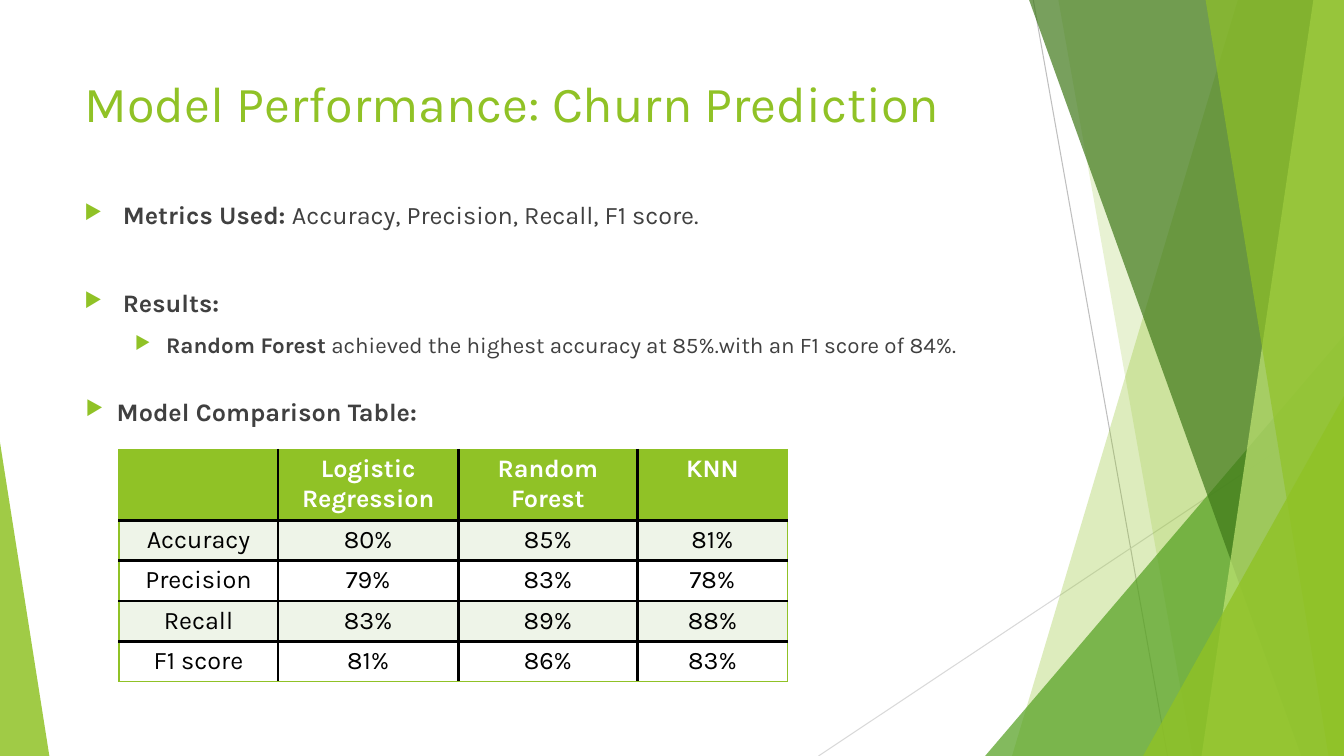
from dataclasses import dataclass

from lxml.etree import SubElement
from pptx import Presentation
from pptx.dml.color import RGBColor
from pptx.enum.shapes import MSO_CONNECTOR as Connector, MSO_SHAPE as Preset
from pptx.enum.text import MSO_ANCHOR as Anchor, PP_ALIGN as Align
from pptx.oxml.ns import qn
from pptx.util import Inches, Pt


@dataclass(frozen=True)
class Theme:
    font: str = "Karla"
    accent: str = "90C226"
    leaf: str = "54A021"
    forest: str = "3F7819"
    lime: str = "C0E474"
    text: str = "404040"
    black: str = "000000"
    white: str = "FFFFFF"
    band: str = "EEF4E8"
    dark_hairline: str = "BFBFBF"
    light_hairline: str = "D9D9D9"
    title_size: float = 36
    body_size: float = 18
    detail_size: float = 16
    hairline: float = 0.75
    inner_border: float = 2.25
    outer_border: float = 1


@dataclass(frozen=True)
class Box:
    left: float
    top: float
    width: float
    height: float

    def x(self, columns):
        return round(self.left + self.width * columns / 100)

    def y(self, rows):
        return round(self.top + self.height * rows / 100)

    def area(self, column, row, columns, rows):
        return Box(self.x(column), self.y(row),
                   round(self.width * columns / 100), round(self.height * rows / 100))

    def frame(self):
        return self.left, self.top, self.width, self.height


THEME = Theme()
HAIRLINES = [
    (76.88, 0, 86.87, 100, THEME.dark_hairline),
    (100, 53.73, 60.9, 100, THEME.light_hairline),
]
BACK_RIBBONS = [(92.1, 75.3, THEME.accent, 30), (78.75, 88.73, THEME.accent, 20)]
FRONT_RIBBONS = [
    (76.57, 96.82, THEME.forest, 70),
    (97.72, 89.4, THEME.lime, 70),
    (89.7, 98.85, THEME.accent, 65),
]
BULLETS = [
    (0, 0.38, 0.38, THEME.body_size,
     [("Metrics Used: ", True), ("Accuracy, Precision, Recall, F1 score.", False)]),
    (41, 0.38, 0.38, THEME.body_size, [("Results:", True)]),
    (10, 0.81, 0.31, THEME.detail_size,
     [("Random Forest", True),
      (" achieved the highest accuracy at 85%.with an F1 score of 84%.", False)]),
    (27, 0.32, 0.31, THEME.body_size, [("Model Comparison Table:", True)]),
]
SCORES = [
    ["", "Logistic Regression", "Random Forest", "KNN"],
    ["Accuracy", "80%", "85%", "81%"],
    ["Precision", "79%", "83%", "78%"],
    ["Recall", "83%", "89%", "88%"],
    ["F1 score", "81%", "86%", "83%"],
]
COLUMN_SHARES = [23.8, 26.96, 26.8, 22.44]
ROW_SHARES = [30.44] + [17.39] * 4


def rgb(color):
    return RGBColor.from_string(color)


def add_span(para, text, size, color, bold=False):
    span = para.add_run()
    span.text = text
    span.font.name = THEME.font
    span.font.size = Pt(size)
    span.font.color.rgb = rgb(color)
    span.font.bold = bold


def paint(shape, color, opacity):
    shape.shadow.inherit = False
    shape.line.fill.background()
    shape.fill.solid()
    shape.fill.fore_color.rgb = rgb(color)
    swatch = next(shape._element.spPr.iter(qn("a:srgbClr")))
    SubElement(swatch, qn("a:alpha")).set("val", str(opacity * 1000))


def add_hairline(page, box, x1, y1, x2, y2, color):
    line = page.shapes.add_connector(
        Connector.STRAIGHT, box.x(x1), box.y(y1), box.x(x2), box.y(y2))
    line.line.color.rgb = rgb(color)
    line.line.width = Pt(THEME.hairline)
    SubElement(line._element.spPr, qn("a:effectLst"))


def add_ribbon(page, box, top_column, bottom_column, color, opacity):
    outline = page.shapes.build_freeform(box.x(top_column), box.y(0))
    outline.add_line_segments([
        (box.x(100), box.y(0)), (box.x(100), box.y(100)),
        (box.x(bottom_column), box.y(100))])
    paint(outline.convert_to_shape(), color, opacity)


def add_corner(page, box, apex, color, opacity):
    corner = page.shapes.add_shape(Preset.ISOSCELES_TRIANGLE, *box.frame())
    corner.adjustments[0] = apex
    paint(corner, color, opacity)


def add_facets(page, box):
    for hairline in HAIRLINES:
        add_hairline(page, box, *hairline)
    for ribbon in BACK_RIBBONS:
        add_ribbon(page, box, *ribbon)
    add_corner(page, box.area(73.3, 44.4, 26.7, 55.6), 1, THEME.leaf, 72)
    for ribbon in FRONT_RIBBONS:
        add_ribbon(page, box, *ribbon)
    add_corner(page, box.area(85.05, 52.4, 14.95, 47.6), 1, THEME.accent, 80)
    add_corner(page, box.area(0, 58.53, 3.67, 41.47), 0, THEME.accent, 85)


def add_text_frame(page, box):
    frame = page.shapes.add_textbox(*box.frame()).text_frame
    frame.word_wrap = True
    frame.vertical_anchor = Anchor.TOP
    return frame


def add_title(page, box):
    para = add_text_frame(page, box).paragraphs[0]
    add_span(para, "Model Performance: Churn Prediction", THEME.title_size, THEME.accent)


def add_bullet(para, margin, hang):
    props = para._p.get_or_add_pPr()
    props.set("marL", str(Inches(margin)))
    props.set("indent", str(-Inches(hang)))
    SubElement(SubElement(props, qn("a:buClr")), qn("a:srgbClr")).set("val", THEME.accent)
    SubElement(props, qn("a:buSzPct")).set("val", "80000")
    SubElement(props, qn("a:buChar")).set("char", "▶")


def add_body(page, box):
    frame = add_text_frame(page, box)
    for index, (gap, margin, hang, size, spans) in enumerate(BULLETS):
        para = frame.add_paragraph() if index else frame.paragraphs[0]
        add_bullet(para, margin, hang)
        para.space_before = Pt(gap)
        for text, bold in spans:
            add_span(para, text, size, THEME.text, bold)


def add_borders(cell, outer_sides):
    props = cell._tc.get_or_add_tcPr()
    for side in "LRTB":
        outer = side in outer_sides
        width = THEME.outer_border if outer else THEME.inner_border
        line = SubElement(props, qn(f"a:ln{side}"), w=str(Pt(width)))
        fill = SubElement(line, qn("a:solidFill"))
        color = THEME.accent if outer else THEME.black
        SubElement(fill, qn("a:srgbClr")).set("val", color)


def add_scores(page, box):
    last_row, last_column = len(SCORES) - 1, len(SCORES[0]) - 1
    table = page.shapes.add_table(last_row + 1, last_column + 1, *box.frame()).table
    table.horz_banding = False
    for column, share in zip(table.columns, COLUMN_SHARES):
        column.width = round(box.width * share / 100)
    for row, share in zip(table.rows, ROW_SHARES):
        row.height = round(box.height * share / 100)
    for r, labels in enumerate(SCORES):
        header = r == 0
        fill = THEME.accent if header else THEME.band if r % 2 else THEME.white
        for c, label in enumerate(labels):
            cell = table.cell(r, c)
            edges = {"L": c == 0, "R": c == last_column, "T": header, "B": r == last_row}
            add_borders(cell, [side for side, outer in edges.items() if outer])
            cell.fill.solid()
            cell.fill.fore_color.rgb = rgb(fill)
            para = cell.text_frame.paragraphs[0]
            para.alignment = Align.CENTER
            if label:
                color = THEME.white if header else THEME.black
                add_span(para, label, THEME.body_size, color, header)


def add_performance_page(deck, box):
    page = deck.slides.add_slide(deck.slide_layouts[6])
    add_facets(page, box)
    add_title(page, box.area(5.55, 8.93, 70.5, 19.2))
    add_body(page, box.area(5.55, 25.73, 70.5, 62.4))
    add_scores(page, box.area(8.85, 59.47, 49.75, 30.27))


def main():
    deck = Presentation()
    deck.slide_width, deck.slide_height = Inches(13.33), Inches(7.5)
    add_performance_page(deck, Box(0, 0, deck.slide_width, deck.slide_height))
    deck.save("out.pptx")


if __name__ == "__main__":
    main()
